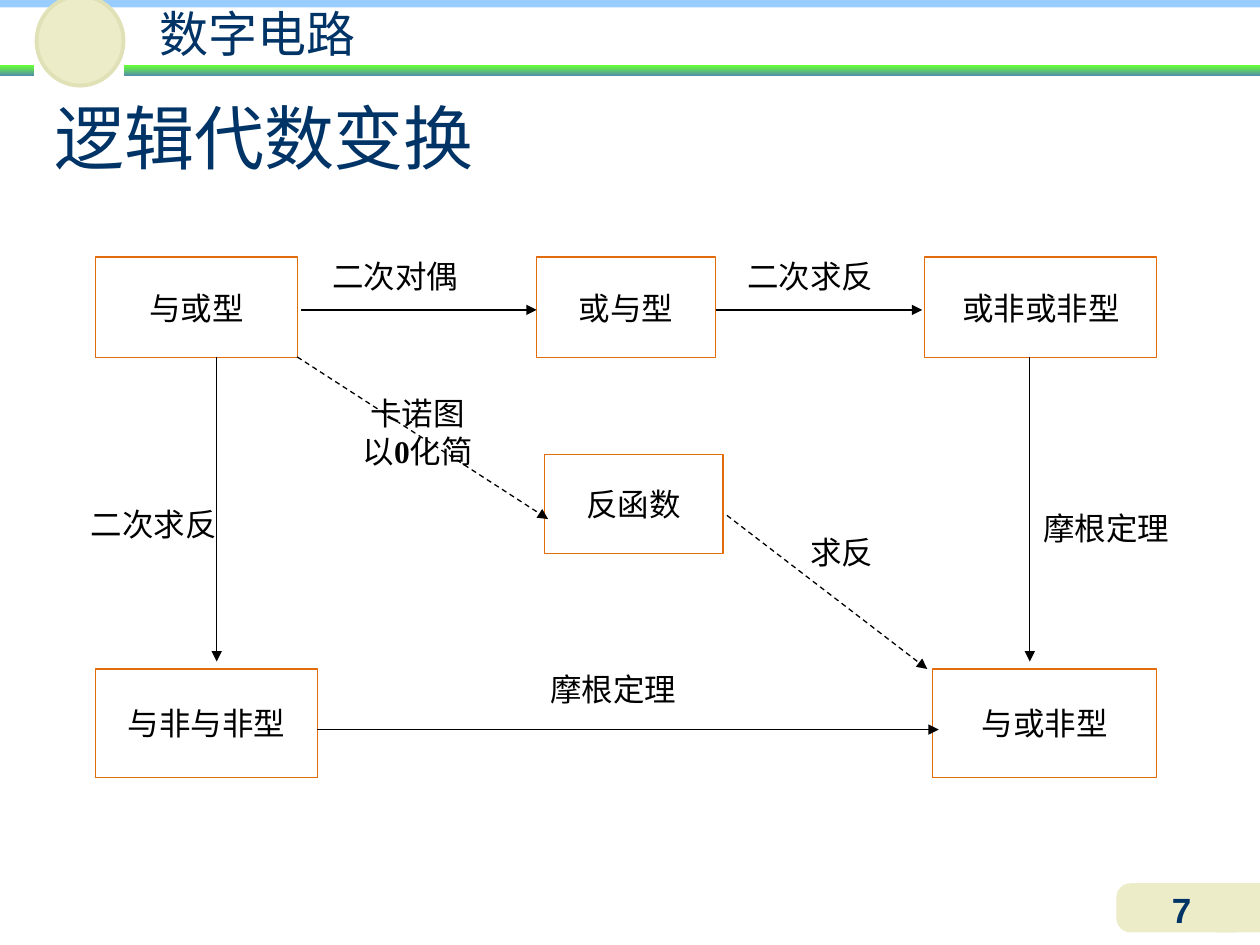
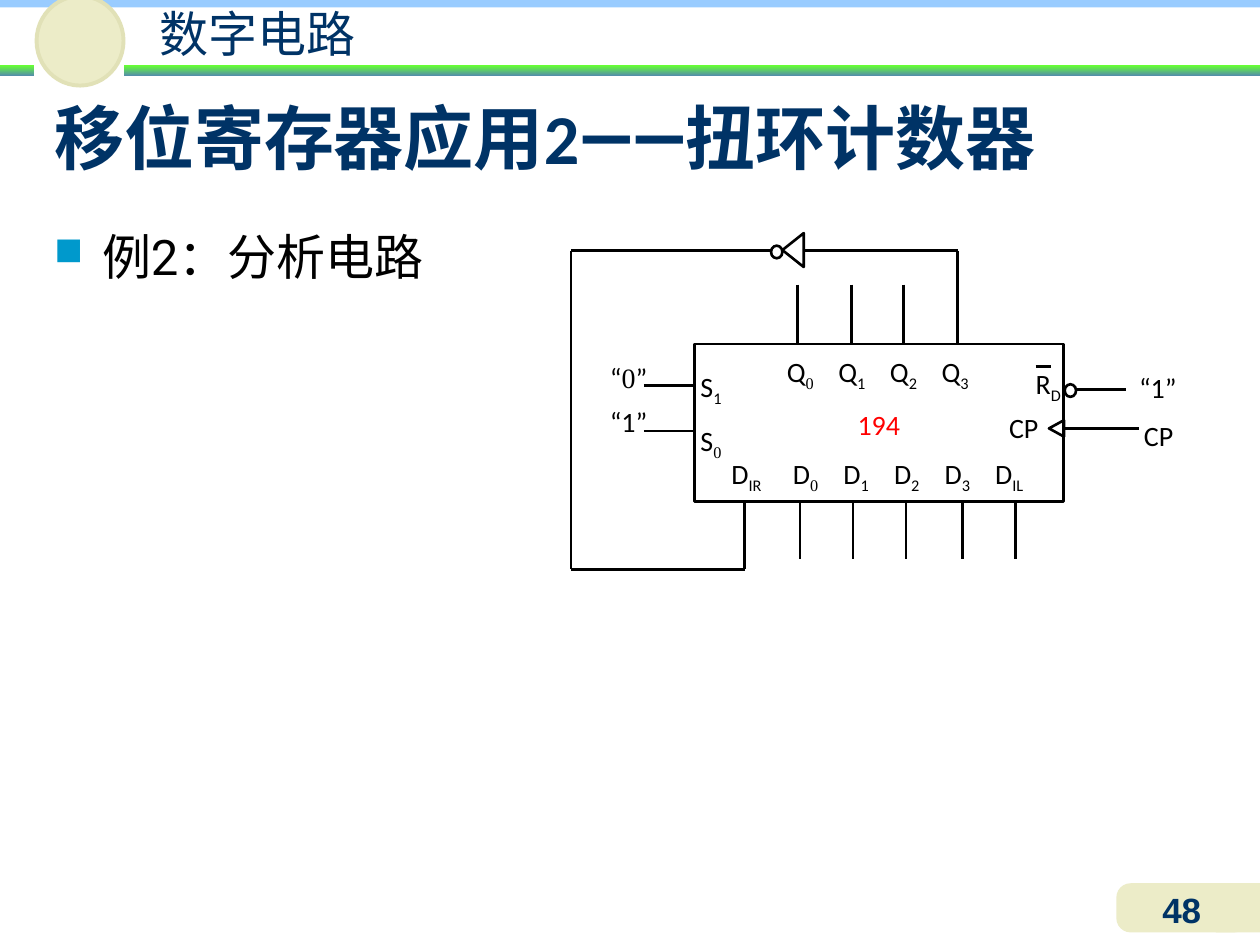
from dataclasses import dataclass
from itertools import pairwise

from lxml import etree
from pptx import Presentation, util as u
from pptx.dml import color
from pptx.enum import dml, shapes, text
from pptx.oxml import ns

SHAPE = shapes.MSO_SHAPE
LEFT, CENTER = text.PP_ALIGN.LEFT, text.PP_ALIGN.CENTER
TOP, MIDDLE = text.MSO_ANCHOR.TOP, text.MSO_ANCHOR.MIDDLE
TITLE_ONLY = 5


@dataclass(frozen=True)
class Theme:
    navy: str = "003366"
    black: str = "000000"
    red: str = "FF0000"
    orange: str = "E36C0A"
    sand: str = "ECECC8"
    sand_edge: str = "E1E1B7"
    sky: str = "99CCFF"
    bullet: str = "0099CC"
    band: tuple = ("66FF33", "5490A8")
    heading: str = "Roboto"
    body: str = "Calibri"
    serif: str = "Times New Roman"
    frame: str = "Arial"
    title_size: int = 40
    text_size: int = 28
    number_size: int = 20
    flow_size: int = 18
    pin_size: int = 16
    thin: float = 0.75
    wire: float = 1.5


THEME = Theme()


def rgb(value):
    return color.RGBColor.from_string(value)


def add_xml(parent, tag, **attributes):
    return etree.SubElement(parent, ns.qn(tag), attributes)


def sub(value, **fmt):
    return value, dict(sub=True, **fmt)


SUB_0 = sub("0", font=THEME.serif)


def write(tf, *runs, size=THEME.flow_size, font=THEME.body, ink=THEME.black, bold=False,
          align=LEFT, before=0, line=None, tabs=(), bullet=None):
    """Add a paragraph; a run is a string or a (string, format changes) pair."""
    first = not tf.paragraphs[0].runs
    p = tf.paragraphs[0] if first else tf.add_paragraph()
    p.alignment = align
    p.space_before = u.Pt(0 if first else before)
    if line:
        p.line_spacing = line
    pPr = p._p.get_or_add_pPr()
    if bullet:
        indent = int(u.Pt(27.4))
        pPr.set("marL", str(indent))
        pPr.set("indent", str(-indent))
        add_xml(add_xml(pPr, "a:buClr"), "a:srgbClr", val=THEME.bullet)
        add_xml(pPr, "a:buSzPct", val="80000")
        add_xml(pPr, "a:buChar", char=bullet)
    if tabs:
        stops = add_xml(pPr, "a:tabLst")
        for stop in tabs:
            add_xml(stops, "a:tab", pos=str(int(u.Pt(stop))), algn="l")
    for run in runs:
        value, own = (run, {}) if isinstance(run, str) else run
        r = p.add_run()
        r.text = value
        r.font.size = u.Pt(size)
        r.font.name = own.get("font", font)
        r.font.bold = own.get("bold", bold)
        r.font.color.rgb = rgb(ink)
        if own.get("sub"):
            r._r.get_or_add_rPr().set("baseline", "-25000")


class Deck:
    def __init__(self, theme):
        self.theme = theme
        self.prs = Presentation()
        self.prs.slide_width, self.prs.slide_height = u.Pt(720), u.Pt(540)
        self.s = None

    def slide(self, number, *title, bold=False):
        t = self.theme
        self.s = self.prs.slides.add_slide(self.prs.slide_layouts[TITLE_ONLY])
        sp = self.s.shapes.title
        sp.left, sp.top, sp.width, sp.height = map(u.Pt, (23.8, 41.8, 680.4, 72))
        write(self.frame(sp, MIDDLE, 7.2, 3.6), *title, size=t.title_size,
              font=t.heading, ink=t.navy, bold=bold)
        for left, width in ((0, 19.4), (70.6, 649.4)):
            self.gradient(self.shape(SHAPE.RECTANGLE, left, 37.4, width, 5.8))
        self.shape(SHAPE.RECTANGLE, 694.8, 504.7, 25.2, 28.1, fill=t.sand)
        tab = self.shape(SHAPE.ROUNDED_RECTANGLE, 637.9, 504.7, 75.6, 28.1, fill=t.sand)
        tab.adjustments[0] = 0.29
        self.shape(SHAPE.RECTANGLE, 0, 0, 720, 4.3, fill=t.sky)
        self.shape(SHAPE.OVAL, 20.9, -2.2, 49.7, 51.1, fill=t.sand,
                   line=t.sand_edge, weight=2.25)
        write(self.box(70.6, 2.2, 153.4, 30.2, 1.4, 0), "数字电路", size=t.text_size,
              font=t.frame, ink=t.navy, align=CENTER)
        write(self.box(642.2, 504, 66.2, 23.8, 7.2, 3.6), number, size=t.number_size,
              font=t.frame, ink=t.navy, bold=True, align=CENTER)

    def frame(self, sp, anchor, side, edge):
        """Set the text frame's margins and anchor, and return it."""
        tf = sp.text_frame
        tf.word_wrap = True
        tf.auto_size = text.MSO_AUTO_SIZE.NONE
        tf.vertical_anchor = anchor
        tf.margin_left = tf.margin_right = u.Pt(side)
        tf.margin_top = tf.margin_bottom = u.Pt(edge)
        return tf

    def box(self, left, top, width, height, side=1.4, edge=0.7):
        sp = self.s.shapes.add_textbox(*map(u.Pt, (left, top, width, height)))
        return self.frame(sp, TOP, side, edge)

    def shape(self, kind, left, top, width, height, fill=None, line=None, weight=1, turn=0):
        sp = self.s.shapes.add_shape(kind, *map(u.Pt, (left, top, width, height)))
        sp.shadow.inherit = False
        sp.rotation = turn
        if fill:
            sp.fill.solid()
            sp.fill.fore_color.rgb = rgb(fill)
        else:
            sp.fill.background()
        if line:
            sp.line.color.rgb = rgb(line)
            sp.line.width = u.Pt(weight)
        else:
            sp.line.fill.background()
        return sp

    def gradient(self, sp):
        sp.fill.gradient()
        sp.fill.gradient_angle = 270
        for stop, position, ink in zip(sp.fill.gradient_stops, (0, 1), self.theme.band):
            stop.position = position
            stop.color.rgb = rgb(ink)

    def line(self, start, end, weight, dashed=False, arrow=False):
        c = self.s.shapes.add_connector(shapes.MSO_CONNECTOR.STRAIGHT,
                                        *map(u.Pt, (*start, *end)))
        c.line.color.rgb = rgb(self.theme.black)
        c.line.width = u.Pt(weight)
        if dashed:
            c.line.dash_style = dml.MSO_LINE.DASH
        if arrow:
            add_xml(c.line._get_or_add_ln(), "a:tailEnd", type="triangle")
        add_xml(c._element.spPr, "a:effectLst")

    def arrow(self, start, end, dashed=False):
        self.line(start, end, self.theme.thin, dashed, arrow=True)

    def wire(self, *points):
        for start, end in pairwise(points):
            self.line(start, end, self.theme.wire)

    def node(self, label, *place):
        sp = self.shape(SHAPE.RECTANGLE, *place, line=self.theme.orange,
                        weight=self.theme.thin)
        write(self.frame(sp, MIDDLE, 1.4, 0), label, align=CENTER)

    def symbol(self, kind, *place, turn=0):
        return self.shape(kind, *place, line=self.theme.black, weight=self.theme.wire,
                          turn=turn)


def transformations(deck):
    deck.slide("7", "逻辑代数变换")
    top, bottom = (146.9, 57.6), (382.3, 61.9)
    for label, left, width, (y, height) in (
        ("与或型", 54.7, 115.2, top),
        ("或与型", 306.7, 102.2, top),
        ("或非或非型", 528.5, 132.5, top),
        ("反函数", 311, 102.2, (259.9, 56.2)),
        ("与非与非型", 54.7, 126.7, bottom),
        ("与或非型", 532.8, 128.2, bottom),
    ):
        deck.node(label, left, y, width, height)

    for start, end in (
        ((172.1, 177.1), (306.7, 177.1)),
        ((409, 177.1), (527, 177.1)),
        ((181.4, 416.9), (536.4, 416.9)),
        ((123.8, 204), (123.8, 378)),
        ((588.5, 204), (588.5, 378)),
    ):
        deck.arrow(start, end)
    deck.arrow((169.9, 204), (313.2, 296.6), dashed=True)
    deck.arrow((415.4, 294.5), (529.9, 382.3), dashed=True)

    for label, left, y, width in (
        ("二次对偶", 188.6, 146.2, 86.4),
        ("二次求反", 425.5, 146.2, 86.4),
        ("二次求反", 50.4, 288, 81.4),
        ("摩根定理", 594.7, 290.2, 86.4),
        ("摩根定理", 313.2, 382.3, 86.4),
        ("求反", 461.5, 303.8, 46.1),
    ):
        write(deck.box(left, y, width, 32), label)
    karnaugh = deck.box(196.6, 224.6, 84.2, 55.4)
    write(karnaugh, "卡诺图", align=CENTER)
    write(karnaugh, "以", ("0", dict(font=THEME.serif, bold=True)), "化简", align=CENTER)


def twisted_ring_counter(deck):
    deck.slide("48", "移位寄存器应用", ("2", dict(font=THEME.body)), "——扭环计数器", bold=True)
    write(deck.box(23.8, 126, 680.4, 81.4, 7.2, 3.6), "例2：分析电路",
          size=THEME.text_size, font=THEME.heading, bullet="■")

    pin = dict(size=THEME.pin_size, line=1.12, before=6)
    chip_left, chip_top, chip_bottom = 396.7, 196.6, 286.6
    chip = deck.symbol(SHAPE.RECTANGLE, chip_left, chip_top, 211, chip_bottom - chip_top)
    tf = deck.frame(chip, TOP, 7.2, 3.6)
    digits = [SUB_0, *map(sub, "123")]
    outputs = [run for digit in digits for run in ("\tQ", digit)]
    inputs = [run for index in (sub("IR"), *digits, sub("IL")) for run in ("\tD", index)]
    write(tf, *outputs, tabs=[45.8 + 29.5 * i for i in range(4)], **pin)
    write(tf, "194", ink=THEME.red, align=CENTER, **pin)
    write(tf, *inputs, tabs=[14.2, *(49.3 + 28.9 * i for i in range(5))], **pin)

    for x in (455.8, 486.7, 516.2):
        deck.wire((x, 162.7), (x, chip_top))
    for x in (457.2, 487.4, 517.7, 550.1, 580.3):
        deck.wire((x, chip_bottom), (x, 319.7))
    for y in (220.3, 246.2):
        deck.wire((367.9, y), (chip_left, y))
    deck.wire((607.7, 244.8), (650.9, 244.8))
    deck.wire((614.9, 222.5), (643.7, 222.5))
    deck.wire((591.8, 209.5), (600.5, 209.5))

    feedback_y, return_y, feedback_x = 143.3, 325.4, 326.2
    deck.wire((458.6, feedback_y), (547.2, feedback_y), (547.2, chip_top))
    deck.wire((441.4, feedback_y), (feedback_x, feedback_y), (feedback_x, return_y),
              (425.5, return_y), (425.5, chip_bottom))
    deck.symbol(SHAPE.ISOSCELES_TRIANGLE, 443.5, 136.8, 19.4, 12.2, turn=270)
    deck.symbol(SHAPE.ISOSCELES_TRIANGLE, 599, 240.5, 9.4, 8.6, turn=270)
    for left, y in ((440.6, 140.4), (608.4, 219.6)):
        deck.symbol(SHAPE.OVAL, left, y, 6.5, 7.2)

    write(deck.box(575.3, 231.8, 24.5, 25.9), "CP", **pin)
    write(deck.box(652.3, 236.2, 36, 25.9), "CP", **pin)
    write(deck.box(590.4, 205.9, 20.2, 25.9), "R", sub("D"), **pin)
    select = deck.box(398.9, 208.1, 24.5, 50.4)
    write(select, "S", sub("1"), **pin)
    write(select, "S", SUB_0, **pin)

    level = dict(size=THEME.pin_size, before=6)
    levels = deck.box(348.5, 205.9, 31.7, 50.4, 0, 0)
    write(levels, "“", ("0", dict(font=THEME.serif)), "”", **level)
    write(levels, "“1”", **level)
    write(deck.box(650.9, 211.7, 31.7, 24.5, 0, 0), "“1”", **level)


def main():
    deck = Deck(THEME)
    transformations(deck)
    twisted_ring_counter(deck)
    deck.prs.save("out.pptx")


if __name__ == "__main__":
    main()
